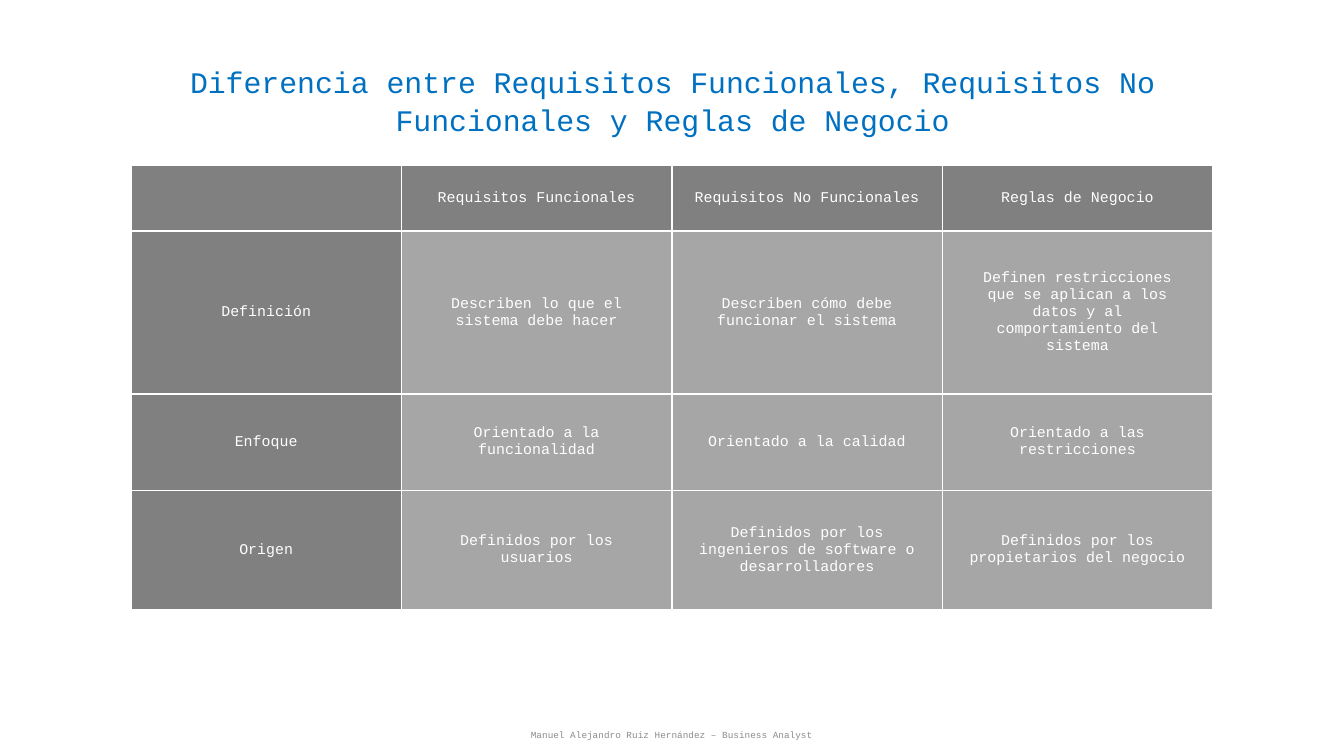
import pptx
import pptx.dml.color
import pptx.enum.text
import pptx.oxml
import pptx.oxml.ns
import pptx.util
from dataclasses import dataclass

Pt = pptx.util.Pt
Color = pptx.dml.color.RGBColor.from_string
Align = pptx.enum.text.PP_ALIGN
Anchor = pptx.enum.text.MSO_ANCHOR


@dataclass(frozen=True)
class Theme:
    font: str = "Courier New"
    blue: str = "0070C0"
    dark: str = "808080"
    light: str = "A6A6A6"
    white: str = "FFFFFF"
    muted: str = "8C8C8C"
    title: float = 16
    body: float = 8
    foot: float = 5


THEME = Theme()
TITLE = "Diferencia entre Requisitos Funcionales, Requisitos No Funcionales y Reglas de Negocio"
FOOTER = "Manuel Alejandro Ruiz Hernández – Business Analyst"
ROWS = [
    ["", "Requisitos Funcionales", "Requisitos No Funcionales", "Reglas de Negocio"],
    ["Definición", "Describen lo que el sistema debe hacer",
     "Describen cómo debe funcionar el sistema",
     "Definen restricciones que se aplican a los datos y al comportamiento del sistema"],
    ["Enfoque", "Orientado a la funcionalidad", "Orientado a la calidad",
     "Orientado a las restricciones"],
    ["Origen", "Definidos por los usuarios",
     "Definidos por los ingenieros de software o desarrolladores",
     "Definidos por los propietarios del negocio"],
]
HEIGHTS = [35.3, 87.1, 51.8, 64.1]
WIDTH = 144.9


def assign(item, values):
    for name, value in values.items():
        setattr(item, name, value)


def write(frame, text, size, color, **format):
    """Fill the first paragraph of a frame with one centred run."""
    para = frame.paragraphs[0]
    assign(para, {"alignment": Align.CENTER, **format})
    if text:
        run = para.add_run()
        run.text = text
        assign(run.font, {"name": THEME.font, "size": Pt(size)})
        run.font.color.rgb = Color(color)


def add_text(slide, box, anchor, *text, **format):
    frame = slide.shapes.add_textbox(*map(Pt, box)).text_frame
    assign(frame, {"word_wrap": True, "vertical_anchor": anchor})
    write(frame, *text, **format)


def add_lines(cell):
    """Put a thin white border on every side of a cell."""
    props = cell._tc.get_or_add_tcPr()
    space = pptx.oxml.ns.nsdecls("a")
    for place, side in enumerate(("lnL", "lnR", "lnT", "lnB")):
        props.insert(place, pptx.oxml.parse_xml(
            f'<a:{side} {space} w="{Pt(1)}"><a:solidFill>'
            f'<a:srgbClr val="{THEME.white}"/></a:solidFill></a:{side}>'))


def fill_cell(cell, text, head):
    side, edge = (8.64, 4.32) if head else (14.3, 14.3)
    assign(cell, {
        "margin_left": Pt(side), "margin_right": Pt(side),
        "margin_top": Pt(edge), "margin_bottom": Pt(edge),
        "vertical_anchor": Anchor.MIDDLE,
    })
    cell.fill.solid()
    cell.fill.fore_color.rgb = Color(THEME.dark if head else THEME.light)
    write(cell.text_frame, text, THEME.body, THEME.white)
    add_lines(cell)


def add_grid(slide, left, top):
    count = len(ROWS[0])
    size = (left, top, WIDTH * count, sum(HEIGHTS))
    table = slide.shapes.add_table(len(ROWS), count, *map(Pt, size)).table
    assign(table, {"first_row": False, "horz_banding": False})
    for column in table.columns:
        column.width = Pt(WIDTH)
    for r, (row, height) in enumerate(zip(ROWS, HEIGHTS)):
        table.rows[r].height = Pt(height)
        for c, text in enumerate(row):
            fill_cell(table.cell(r, c), text, head=r == 0 or c == 0)


def main():
    deck = pptx.Presentation()
    assign(deck, {"slide_width": Pt(720), "slide_height": Pt(405)})
    slide = deck.slides.add_slide(deck.slide_layouts[6])
    add_text(slide, (49.7, 28.8, 621.4, 46.1), Anchor.TOP,
             TITLE, THEME.title, THEME.blue, line_spacing=1.08)
    add_text(slide, (238.3, 383, 243.4, 21.6), Anchor.MIDDLE,
             FOOTER, THEME.foot, THEME.muted)
    add_grid(slide, 70.2, 88.6)
    deck.save("out.pptx")


if __name__ == "__main__":
    main()
